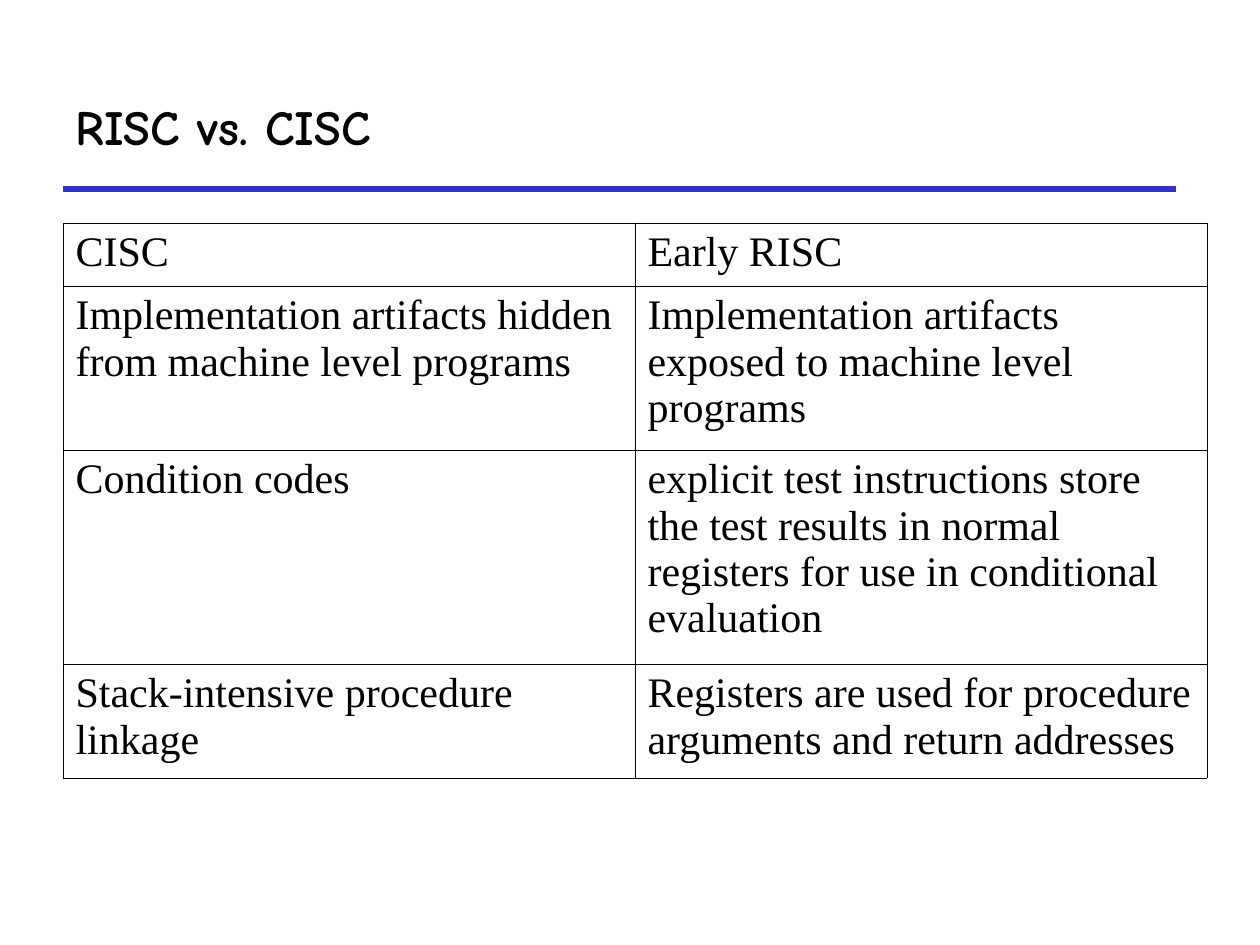
from lxml.etree import SubElement
from pptx import Presentation
from pptx.dml.color import RGBColor
from pptx.enum.shapes import MSO_CONNECTOR as Connector
from pptx.enum.text import MSO_ANCHOR as Anchor, MSO_AUTO_SIZE as AutoSize, PP_ALIGN as Align
from pptx.oxml.ns import qn
from pptx.util import Emu, Pt

PX_PER_INCH = 126
BLACK, WHITE, BLUE = "000000", "FFFFFF", "3333CC"
TITLE_FONT = {"name": "Comic Neue", "size": Pt(28), "bold": True}
BODY_FONT = {"name": "Times New Roman", "size": Pt(24), "bold": False}
TITLE_FRAME = {"word_wrap": True, "auto_size": AutoSize.NONE, "vertical_anchor": Anchor.MIDDLE}
TABLE_FLAGS = {"first_row": False, "horz_banding": False}
BORDER_WIDTH = Pt(0.45)

COMPARISON = [
    ("CISC", "Early RISC"),
    ("Implementation artifacts hidden from machine level programs",
     "Implementation artifacts exposed to machine level programs"),
    ("Condition codes",
     "explicit test instructions store the test results in normal registers "
     "for use in conditional evaluation"),
    ("Stack-intensive procedure linkage",
     "Registers are used for procedure arguments and return addresses"),
]
ROW_HEIGHTS = [63, 164, 214, 114]


def px(length):
    return Emu(round(length * 914400 / PX_PER_INCH))


def color(value):
    return RGBColor.from_string(value)


def apply(target, values):
    for attribute, value in values.items():
        setattr(target, attribute, value)


def write(frame, text, font):
    paragraph = frame.paragraphs[0]
    paragraph.alignment = Align.LEFT
    run = paragraph.add_run()
    run.text = text
    apply(run.font, font)
    run.font.color.rgb = color(BLACK)


def add_borders(cell):
    properties = cell._tc.get_or_add_tcPr()
    for position, side in enumerate(("a:lnL", "a:lnR", "a:lnT", "a:lnB")):
        border = SubElement(properties, qn(side), w=str(BORDER_WIDTH))
        fill = SubElement(border, qn("a:solidFill"))
        SubElement(fill, qn("a:srgbClr"), val=BLACK)
        properties.insert(position, border)


def add_header(slide, left, top, width, height):
    title = slide.shapes.title
    apply(title, {"left": px(left), "top": px(top), "width": px(width), "height": px(height)})
    apply(title.text_frame, TITLE_FRAME)
    write(title.text_frame, "RISC vs. CISC", TITLE_FONT)

    bottom = px(top + height)
    rule = slide.shapes.add_connector(
        Connector.STRAIGHT, px(left), bottom, px(left + width), bottom)
    rule.line.color.rgb = color(BLUE)
    rule.line.width = Pt(3)
    SubElement(rule._element.spPr, qn("a:effectLst"))


def add_comparison(slide, left, top, width):
    columns = len(COMPARISON[0])
    table = slide.shapes.add_table(
        len(COMPARISON), columns, px(left), px(top), px(width), px(sum(ROW_HEIGHTS))).table
    apply(table, TABLE_FLAGS)
    for column in table.columns:
        column.width = px(width / columns)
    for row, height, texts in zip(table.rows, ROW_HEIGHTS, COMPARISON):
        row.height = px(height)
        for cell, text in zip(row.cells, texts):
            cell.fill.solid()
            cell.fill.fore_color.rgb = color(WHITE)
            write(cell.text_frame, text, BODY_FONT)
            add_borders(cell)


def main():
    deck = Presentation()
    apply(deck, {"slide_width": px(1260), "slide_height": px(945)})
    slide = deck.slides.add_slide(deck.slide_layouts[5])
    add_header(slide, 63, 63, 1113, 126)
    add_comparison(slide, 63, 223, 1144)
    deck.save("out.pptx")


if __name__ == "__main__":
    main()
